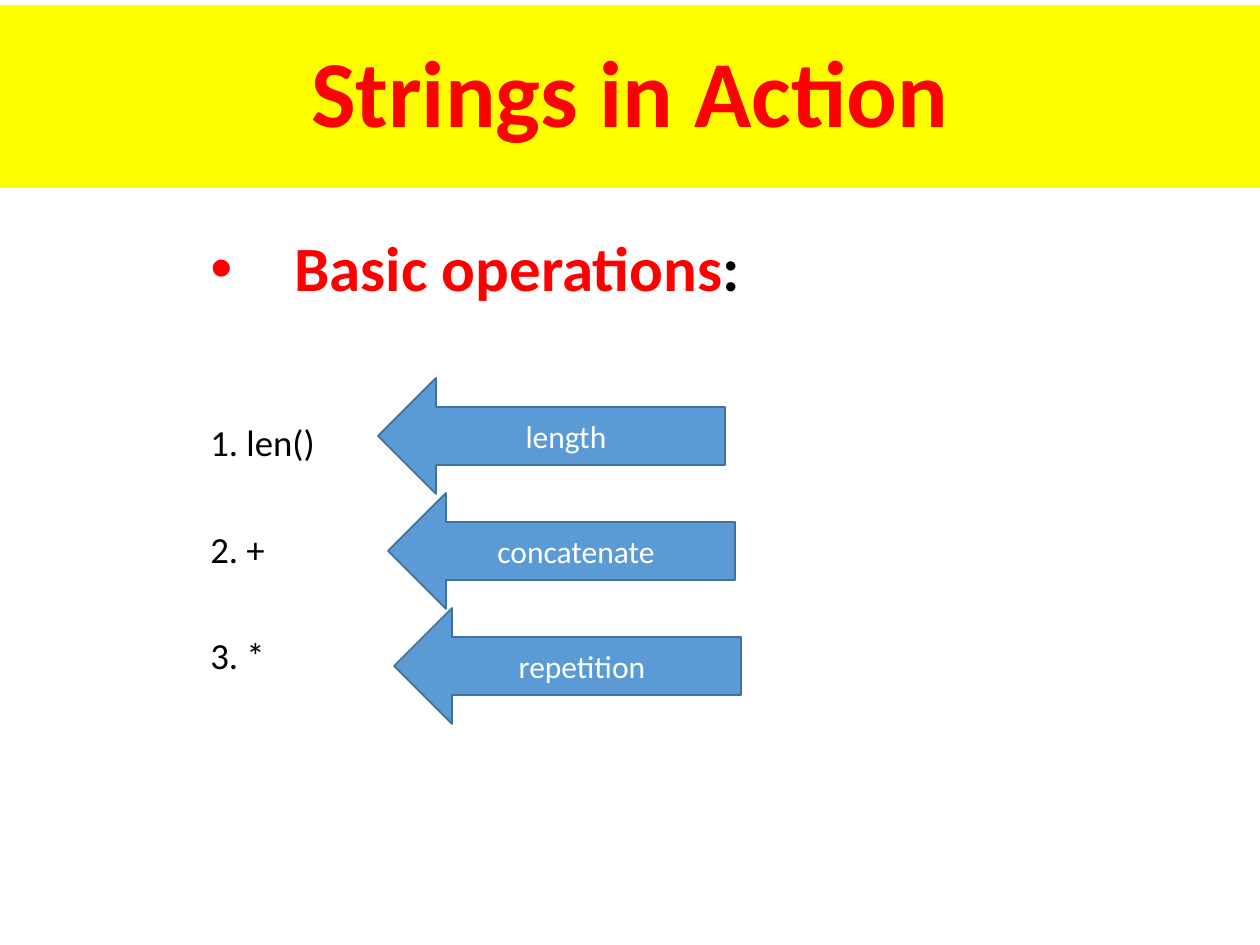
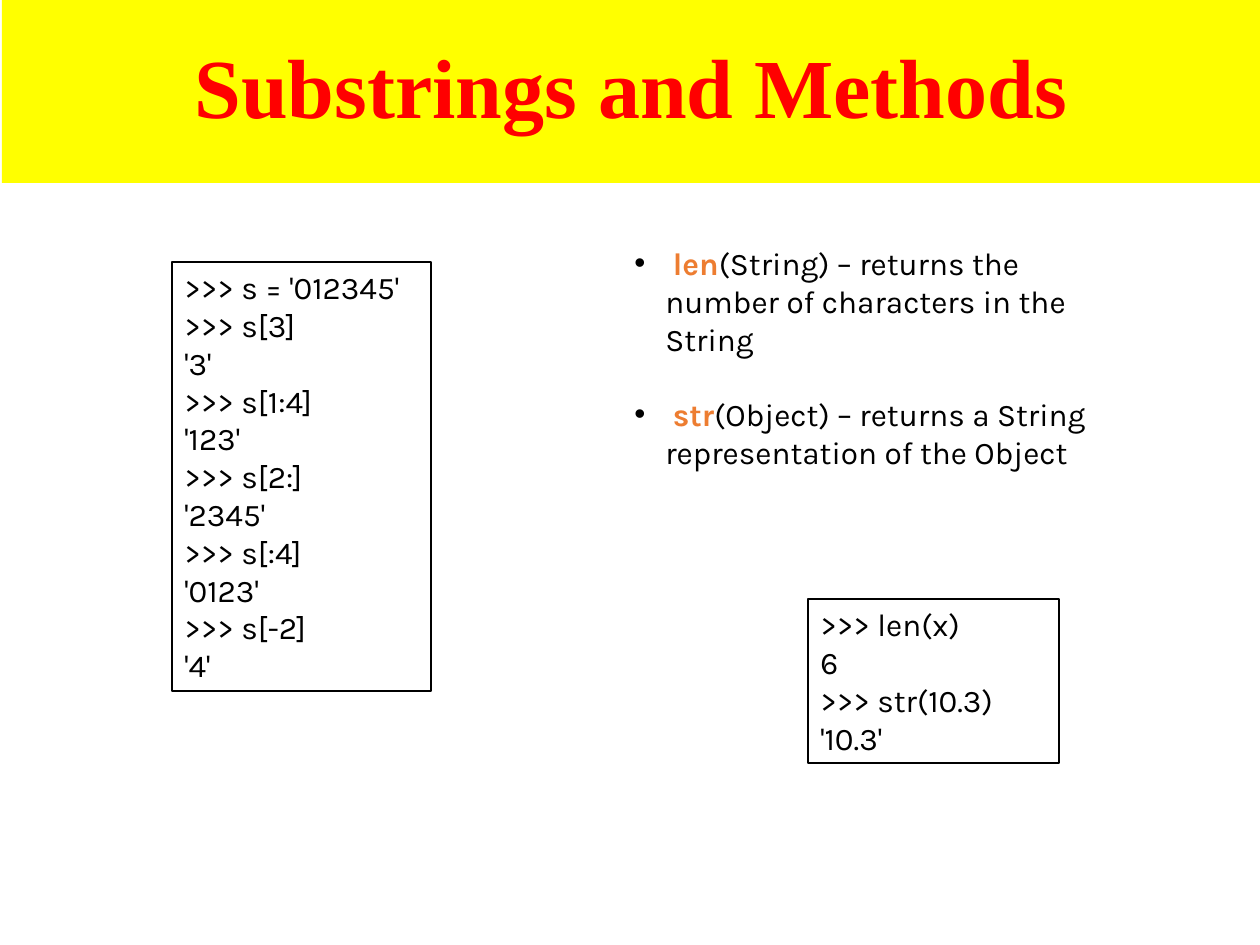
"""Build two slides on Python string operations, substrings and methods."""
import lxml.etree
import pptx
import pptx.dml.color
import pptx.enum.shapes
import pptx.enum.text
import pptx.oxml.ns
import pptx.util

RED = pptx.dml.color.RGBColor(0xFF, 0x00, 0x00)
YELLOW = pptx.dml.color.RGBColor(0xFF, 0xFF, 0x00)
BLACK = pptx.dml.color.RGBColor(0x00, 0x00, 0x00)
WHITE = pptx.dml.color.RGBColor(0xFF, 0xFF, 0xFF)
ORANGE = pptx.dml.color.RGBColor(0xED, 0x7D, 0x31)
BLUE = pptx.dml.color.RGBColor(0x5B, 0x9B, 0xD5)
DARK_BLUE = pptx.dml.color.RGBColor(0x41, 0x71, 0x9C)
PX_PER_INCH = 126


def px(length):
    return pptx.util.Inches(length / PX_PER_INCH)


def format_para(para, font_name, size, colours, bold=(False,), bullet_indent=0):
    for span, colour, is_bold in zip(para.runs, colours, bold):
        span.font.name = font_name
        span.font.size = pptx.util.Pt(size)
        span.font.color.rgb = colour
        span.font.bold = is_bold
    if bullet_indent:
        properties = para._p.get_or_add_pPr()
        properties.set("marL", str(px(bullet_indent)))
        properties.set("indent", str(-px(bullet_indent)))
        bullet_colour = lxml.etree.SubElement(properties, pptx.oxml.ns.qn("a:buClr"))
        lxml.etree.SubElement(bullet_colour, pptx.oxml.ns.qn("a:srgbClr"), val=str(colours[0]))
        lxml.etree.SubElement(properties, pptx.oxml.ns.qn("a:buFont"), typeface="Arial")
        lxml.etree.SubElement(properties, pptx.oxml.ns.qn("a:buChar"), char="•")


deck = pptx.Presentation()
deck.slide_width = px(1260)
deck.slide_height = px(945)

pages = []
for heading, font_name, size, left, top, width in [
    ("Strings in Action", "Calibri", 54, 0, 5, 1260),
    ("Substrings and Methods", "Times New Roman", 48, 2, 0, 1258),
]:
    page = deck.slides.add_slide(deck.slide_layouts[5])
    title = page.shapes.title
    title.left, title.top, title.width, title.height = px(left), px(top), px(width), px(183)
    title.fill.solid()
    title.fill.fore_color.rgb = YELLOW
    title.text_frame.text = heading
    title.text_frame.vertical_anchor = pptx.enum.text.MSO_ANCHOR.MIDDLE
    para = title.text_frame.paragraphs[0]
    para.alignment = pptx.enum.text.PP_ALIGN.CENTER
    para.line_spacing = 0.9
    format_para(para, font_name, size, [RED], [True])
    pages.append(page)
strings_page, methods_page = pages

operations_box = strings_page.shapes.add_textbox(px(198), px(231), px(769), px(600))
frame = operations_box.text_frame
frame.word_wrap = True
para = frame.paragraphs[0]
for text in ("Basic operations", ":"):
    para.add_run().text = text
para.line_spacing = 0.9
para.space_before = pptx.util.Pt(7.5)
format_para(para, "Calibri", 36, [RED, BLACK], [True, True], bullet_indent=84)
for text, gap in [("1. len()", 68.5), ("2. +", 38), ("3. *", 38)]:
    para = frame.add_paragraph()
    para.text = text
    para.line_spacing = 0.9
    para.space_before = pptx.util.Pt(gap)
    format_para(para, "Calibri", 21, [BLACK])

for row, (label, left) in enumerate([("length", 378), ("concatenate", 388), ("repetition", 394)]):
    arrow = strings_page.shapes.add_shape(
        pptx.enum.shapes.MSO_SHAPE.LEFT_ARROW, px(left), px(378 + 115 * row), px(347), px(116)
    )
    arrow.shadow.inherit = False
    arrow.fill.solid()
    arrow.fill.fore_color.rgb = BLUE
    arrow.line.color.rgb = DARK_BLUE
    arrow.line.width = pptx.util.Pt(1)
    arrow.text_frame.text = label
    arrow.text_frame.vertical_anchor = pptx.enum.text.MSO_ANCHOR.MIDDLE
    para = arrow.text_frame.paragraphs[0]
    para.alignment = pptx.enum.text.PP_ALIGN.CENTER
    format_para(para, "Calibri", 18, [WHITE])

slicing_session = """>>> s = '012345'
>>> s[3]
'3'
>>> s[1:4]
'123'
>>> s[2:]
'2345'
>>> s[:4]
'0123'
>>> s[-2]
'4'"""
methods_session = """>>> len(x)
6
>>> str(10.3)
'10.3'"""
for session, left, top, width, height in [
    (slicing_session, 172, 262, 259, 429),
    (methods_session, 808, 599, 251, 164),
]:
    session_box = methods_page.shapes.add_textbox(px(left), px(top), px(width), px(height))
    session_box.line.color.rgb = BLACK
    session_box.line.width = pptx.util.Pt(0.75)
    session_box.text_frame.word_wrap = True
    session_box.text_frame.text = session
    for para in session_box.text_frame.paragraphs:
        format_para(para, "Karla", 18, [BLACK])

methods_box = methods_page.shapes.add_textbox(px(622), px(238), px(490), px(239))
frame = methods_box.text_frame
frame.word_wrap = True
for number, (method, description) in enumerate([
    ("len", "(String) – returns the number of characters in the String"),
    ("str", "(Object) – returns a String representation of the Object"),
]):
    para = frame.add_paragraph() if number else frame.paragraphs[0]
    for text in (" ", method, description):
        para.add_run().text = text
    para.space_before = pptx.util.Pt(21.5 * number)
    format_para(para, "Karla", 18, [BLACK, ORANGE, BLACK], [False, True, False], bullet_indent=31)

deck.save("out.pptx")
